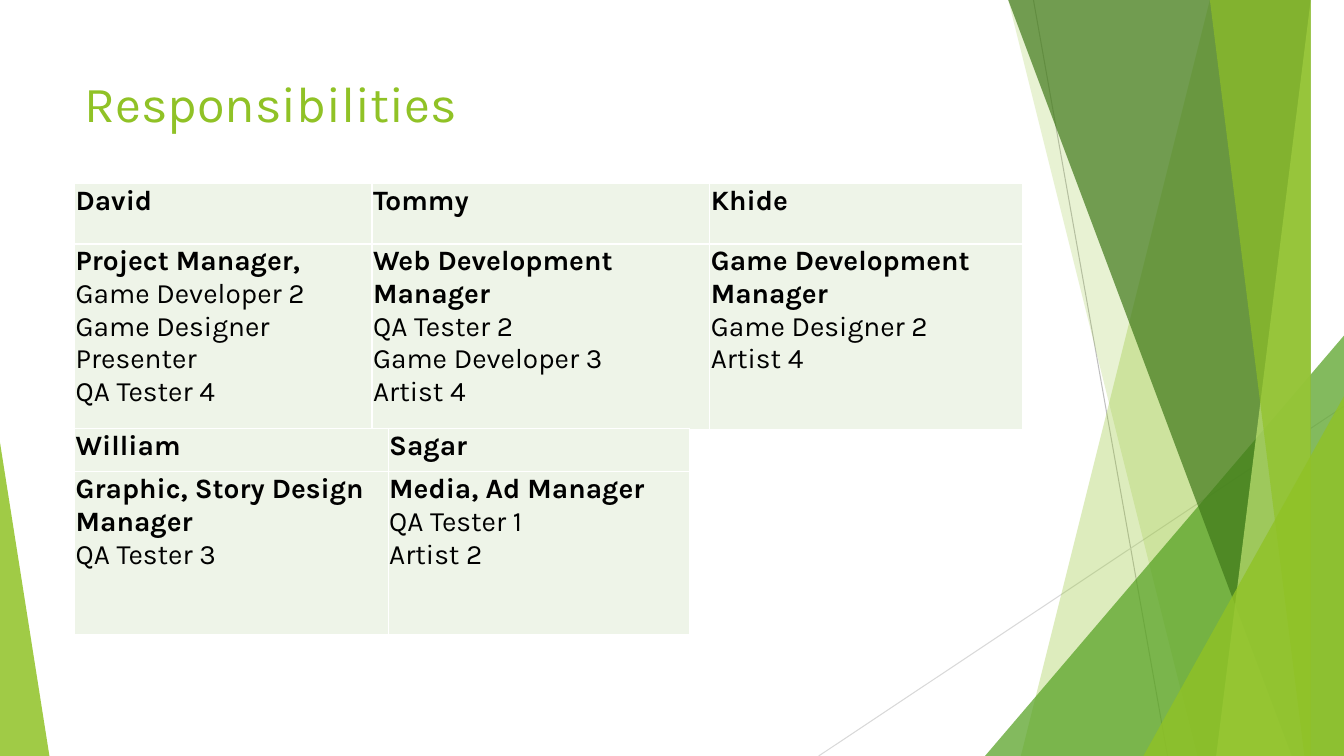
from lxml import etree
from pptx import Presentation
from pptx import util as u
from pptx.dml.color import RGBColor
from pptx.enum import shapes, text
from pptx.oxml.ns import qn

FONT = "Karla"
COLORS = {
    "lime": "90C226", "green": "54A021", "forest": "3F7819", "pale": "C0E474",
    "rule": "BFBFBF", "light_rule": "D9D9D9",
    "cell": "EEF4E8", "border": "FFFFFF", "ink": "000000",
}

PAGE = (0, 0, 13.33, 7.5)
TITLE_BOX = (0.74, 0.67, 9.4, 1.44)

TEAMS = [
    {
        "box": (0.74, 1.82), "columns": [2.95, 3.35, 3.1], "rows": [0.6, 1.84],
        "members": [
            ("David", "Project Manager,",
             ["Game Developer 2", "Game Designer", "Presenter", "QA Tester 4"]),
            ("Tommy", "Web Development Manager",
             ["QA Tester 2", "Game Developer 3", "Artist 4"]),
            ("Khide", "Game Development Manager", ["Game Designer 2", "Artist 4"]),
        ],
    },
    {
        "box": (0.74, 4.25), "columns": [3.11, 2.99], "rows": [0.43, 1.62],
        "members": [
            ("William", "Graphic, Story Design Manager", ["QA Tester 3"]),
            ("Sagar", "Media, Ad Manager", ["QA Tester 1", "Artist 2"]),
        ],
    },
]


def color(name):
    return RGBColor.from_string(COLORS[name])


def add_span(para, words, size=20, bold=False, ink="ink"):
    span = para.add_run()
    span.text = words
    span.font.name = FONT
    span.font.size = u.Pt(size)
    span.font.bold = bold
    span.font.color.rgb = color(ink)


def paint(shape, name, opacity):
    shape.shadow.inherit = False
    shape.line.fill.background()
    shape.fill.solid()
    shape.fill.fore_color.rgb = color(name)
    for tint in shape.element.iter(qn("a:srgbClr")):
        etree.SubElement(tint, qn("a:alpha"), val=str(opacity * 1000))


def add_rule(page, start, end, name):
    rule = page.shapes.add_connector(
        shapes.MSO_CONNECTOR.STRAIGHT, *map(u.Inches, (*start, *end)))
    rule.line.color.rgb = color(name)
    rule.line.width = u.Pt(0.75)
    etree.SubElement(rule.element.spPr, qn("a:effectLst"))


def add_facet(page, box, top_edge, bottom_edge, name, opacity):
    left, top, width, height = box
    right, bottom = left + width, top + height
    builder = page.shapes.build_freeform(
        left + top_edge, top - 0.01, scale=float(u.Inches(1)))
    builder.add_line_segments(
        [(right, top - 0.01), (right, bottom), (left + bottom_edge, bottom)], close=True)
    paint(builder.convert_to_shape(), name, opacity)


def add_triangle(page, box, width, height, apex, name, opacity):
    left, top, box_width, box_height = box
    x = left + apex * (box_width - width)
    y = top + box_height - height
    triangle = page.shapes.add_shape(
        shapes.MSO_SHAPE.ISOSCELES_TRIANGLE, *map(u.Inches, (x, y, width, height)))
    triangle.adjustments[0] = apex
    paint(triangle, name, opacity)


def add_backdrop(page, box):
    left, top, width, height = box
    right, bottom = left + width, top + height
    add_rule(page, (left + 10.25, top), (left + 11.58, bottom), "rule")
    add_rule(page, (right, top + 4.03), (left + 8.12, bottom), "light_rule")
    add_facet(page, box, 12.28, 10.04, "lime", 30)
    add_facet(page, box, 10.5, 11.83, "lime", 20)
    add_triangle(page, box, 3.56, 4.17, 1, "green", 72)
    add_facet(page, box, 10.21, 12.91, "forest", 70)
    add_facet(page, box, 13.03, 11.92, "pale", 70)
    add_facet(page, box, 11.96, 13.18, "lime", 65)
    add_triangle(page, box, 1.99, 3.57, 1, "lime", 80)
    add_triangle(page, box, 0.49, 3.11, 0, "lime", 85)


def add_title(page, box, words):
    frame = page.shapes.add_textbox(*map(u.Inches, box)).text_frame
    frame.word_wrap = True
    frame.vertical_anchor = text.MSO_ANCHOR.TOP
    add_span(frame.paragraphs[0], words, size=36, ink="lime")


def format_cell(cell):
    cell.margin_left = cell.margin_top = cell.margin_right = u.Inches(0.01)
    cell.margin_bottom = 0
    properties = cell._tc.get_or_add_tcPr()
    for side in ("lnL", "lnR", "lnT", "lnB"):
        border = etree.SubElement(properties, qn(f"a:{side}"), w=str(u.Pt(1)))
        fill = etree.SubElement(border, qn("a:solidFill"))
        etree.SubElement(fill, qn("a:srgbClr"), val=COLORS["border"])
    cell.fill.solid()
    cell.fill.fore_color.rgb = color("cell")


def add_team(page, box, columns, rows, members):
    size = (sum(columns), sum(rows))
    table = page.shapes.add_table(
        len(rows), len(columns), *map(u.Inches, (*box, *size))).table
    table.first_row = table.horz_banding = False
    for row, height in zip(table.rows, rows):
        row.height = u.Inches(height)
    for index, (width, (name, role, duties)) in enumerate(zip(columns, members)):
        table.columns[index].width = u.Inches(width)
        name_cell, role_cell = table.cell(0, index), table.cell(1, index)
        format_cell(name_cell)
        format_cell(role_cell)
        add_span(name_cell.text_frame.paragraphs[0], name, bold=True)
        para = role_cell.text_frame.paragraphs[0]
        add_span(para, role, bold=True)
        for duty in duties:
            para.add_line_break()
            add_span(para, duty)


def main():
    deck = Presentation()
    deck.slide_width, deck.slide_height = map(u.Inches, PAGE[2:])
    page = deck.slides.add_slide(deck.slide_layouts[6])
    add_backdrop(page, PAGE)
    add_title(page, TITLE_BOX, "Responsibilities")
    for team in TEAMS:
        add_team(page, **team)
    deck.save("out.pptx")


if __name__ == "__main__":
    main()
